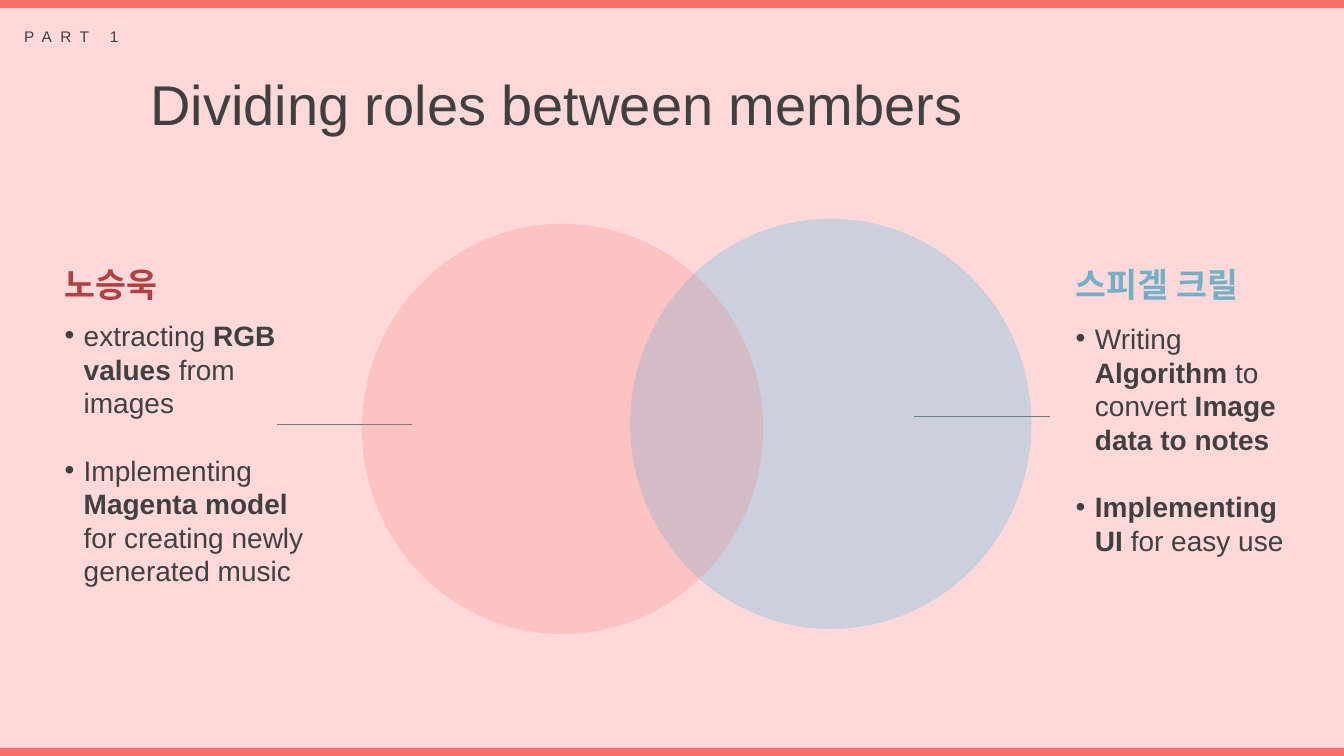
import pptx
import pptx.dml.color
import pptx.enum.shapes
import pptx.enum.text
import pptx.oxml
import pptx.oxml.ns
import pptx.util

COLORS = {
    "background": "FFD8D9",
    "coral": "F86F6C",
    "blue": "00B0F0",
    "text": "404040",
    "red_name": "B14141",
    "blue_name": "73AFC7",
    "line": "688084",
}
SLIDE_WIDTH = pptx.util.Inches(13.33)
SLIDE_HEIGHT = pptx.util.Inches(7.5)
BULLET_INDENT = pptx.util.Inches(0.19)
LIST_LINE = pptx.util.Pt(24)
CIRCLE_SIZE = (29.86, 54.27)
POINTER_LENGTH = 10.05

# Lists hold paragraphs of (text, bold) runs; boxes are percentages of the slide.
MEMBERS = [
    {
        "name": "노승욱",
        "color": "red_name",
        "name_box": (4.05, 34.27, 9.08, 6.67),
        "list_box": (4.05, 41.47, 19.35, 37.2),
        "tasks": [
            [("extracting ", False), ("RGB values", True), (" from images", False)],
            [("Implementing ", False), ("Magenta model", True),
             (" for creating newly generated music", False)],
        ],
    },
    {
        "name": "스피겔 크릴",
        "color": "blue_name",
        "name_box": (79.29, 34.27, 14.85, 6.67),
        "list_box": (79.29, 41.87, 19.05, 32.8),
        "tasks": [
            [("Writing ", False), ("Algorithm", True), (" to convert ", False),
             ("Image data to notes", True)],
            [("Implementing UI ", True), ("for easy use", False)],
        ],
    },
]


def rgb(name):
    return pptx.dml.color.RGBColor.from_string(COLORS[name])


def across(percent):
    return round(SLIDE_WIDTH * percent / 100)


def down(percent):
    return round(SLIDE_HEIGHT * percent / 100)


def scale(box):
    """Turn a box in percentages of the slide into lengths."""
    left, top, width, height = box
    return across(left), down(top), across(width), down(height)


def set_attributes(target, values):
    for name, value in values.items():
        setattr(target, name, value)


def place(shape, box):
    set_attributes(shape, dict(zip(("left", "top", "width", "height"), scale(box))))


def add_run(paragraph, text, size, color="text", bold=False):
    run = paragraph.add_run()
    run.text = text
    set_attributes(run.font, {"name": "Arial", "size": pptx.util.Pt(size), "bold": bold})
    run.font.color.rgb = rgb(color)
    return run


def format_frame(shape, wrap):
    set_attributes(shape.text_frame, {
        "word_wrap": wrap,
        "auto_size": pptx.enum.text.MSO_AUTO_SIZE.SHAPE_TO_FIT_TEXT,
        "vertical_anchor": pptx.enum.text.MSO_ANCHOR.TOP,
    })


def fill_label(shape, box, text, size, color="text", bold=False):
    """Put one unwrapped, left-aligned line of text in a box."""
    place(shape, box)
    format_frame(shape, wrap=False)
    paragraph = shape.text_frame.paragraphs[0]
    set_attributes(paragraph, {
        "alignment": pptx.enum.text.PP_ALIGN.LEFT,
        "space_before": pptx.util.Pt(0),
    })
    return add_run(paragraph, text, size, color, bold)


def add_bullet(paragraph):
    properties = paragraph._p.get_or_add_pPr()
    properties.set("marL", str(BULLET_INDENT))
    properties.set("indent", str(-BULLET_INDENT))
    namespace = pptx.oxml.ns.nsdecls("a")
    for markup in ('<a:buFont {} typeface="Arial"/>', '<a:buChar {} char="•"/>'):
        properties.append(pptx.oxml.parse_xml(markup.format(namespace)))


def fill_list(shape, box, tasks):
    place(shape, box)
    format_frame(shape, wrap=True)
    frame = shape.text_frame
    for index, task in enumerate(tasks):
        paragraph = frame.add_paragraph() if index else frame.paragraphs[0]
        set_attributes(paragraph, {
            "alignment": pptx.enum.text.PP_ALIGN.LEFT,
            "line_spacing": LIST_LINE,
            "space_before": LIST_LINE if index else pptx.util.Pt(0),
            "space_after": pptx.util.Pt(0),
        })
        add_bullet(paragraph)
        for text, bold in task:
            add_run(paragraph, text, 20, bold=bold)


def add_filled_shape(slide, kind, box, color, opacity=100):
    shape = slide.shapes.add_shape(kind, *scale(box))
    shape.shadow.inherit = False
    shape.fill.solid()
    shape.fill.fore_color.rgb = rgb(color)
    shape.line.fill.background()
    if opacity < 100:
        alpha = pptx.oxml.parse_xml('<a:alpha {} val="{}"/>'.format(
            pptx.oxml.ns.nsdecls("a"), opacity * 1000))
        shape._element.spPr.find(".//" + pptx.oxml.ns.qn("a:srgbClr")).append(alpha)


def add_circle(slide, left, top, color):
    oval = pptx.enum.shapes.MSO_SHAPE.OVAL
    add_filled_shape(slide, oval, (left, top, *CIRCLE_SIZE), color, opacity=20)


def add_pointer(slide, left, top):
    connector = slide.shapes.add_connector(
        pptx.enum.shapes.MSO_CONNECTOR.STRAIGHT,
        across(left), down(top), across(left + POINTER_LENGTH), down(top))
    connector.line.color.rgb = rgb("line")
    connector.line.width = pptx.util.Pt(0.5)
    connector._element.spPr.append(pptx.oxml.parse_xml(
        "<a:effectLst {}/>".format(pptx.oxml.ns.nsdecls("a"))))


def main():
    presentation = pptx.Presentation()
    set_attributes(presentation, {"slide_width": SLIDE_WIDTH, "slide_height": SLIDE_HEIGHT})
    comparison_layout = presentation.slide_layouts[4]
    slide = presentation.slides.add_slide(comparison_layout)
    slide.background.fill.solid()
    slide.background.fill.fore_color.rgb = rgb("background")

    for top in (0, 98.93):
        add_filled_shape(slide, pptx.enum.shapes.MSO_SHAPE.RECTANGLE,
                         (0, top, 100, 1.07), "coral")

    fill_label(slide.shapes.title, (10.43, 8.53, 62.57, 10.27),
               "Dividing roles between members", 40)
    part_box = (1.05, 2.93, 9.38, 3.87)
    part_label = slide.shapes.add_textbox(*scale(part_box))
    part_run = fill_label(part_label, part_box, "PART 1", 11)
    part_run.font._element.set("spc", "600")

    add_circle(slide, 46.89, 28.93, "blue")
    add_pointer(slide, 20.63, 56.13)
    add_pointer(slide, 68.04, 55.07)
    add_circle(slide, 26.93, 29.6, "coral")

    _, *member_placeholders = slide.placeholders
    for index, member in enumerate(MEMBERS):
        name_shape, list_shape = member_placeholders[2 * index:2 * index + 2]
        fill_label(name_shape, member["name_box"], member["name"], 24, member["color"], True)
        fill_list(list_shape, member["list_box"], member["tasks"])

    presentation.save("out.pptx")


if __name__ == "__main__":
    main()
